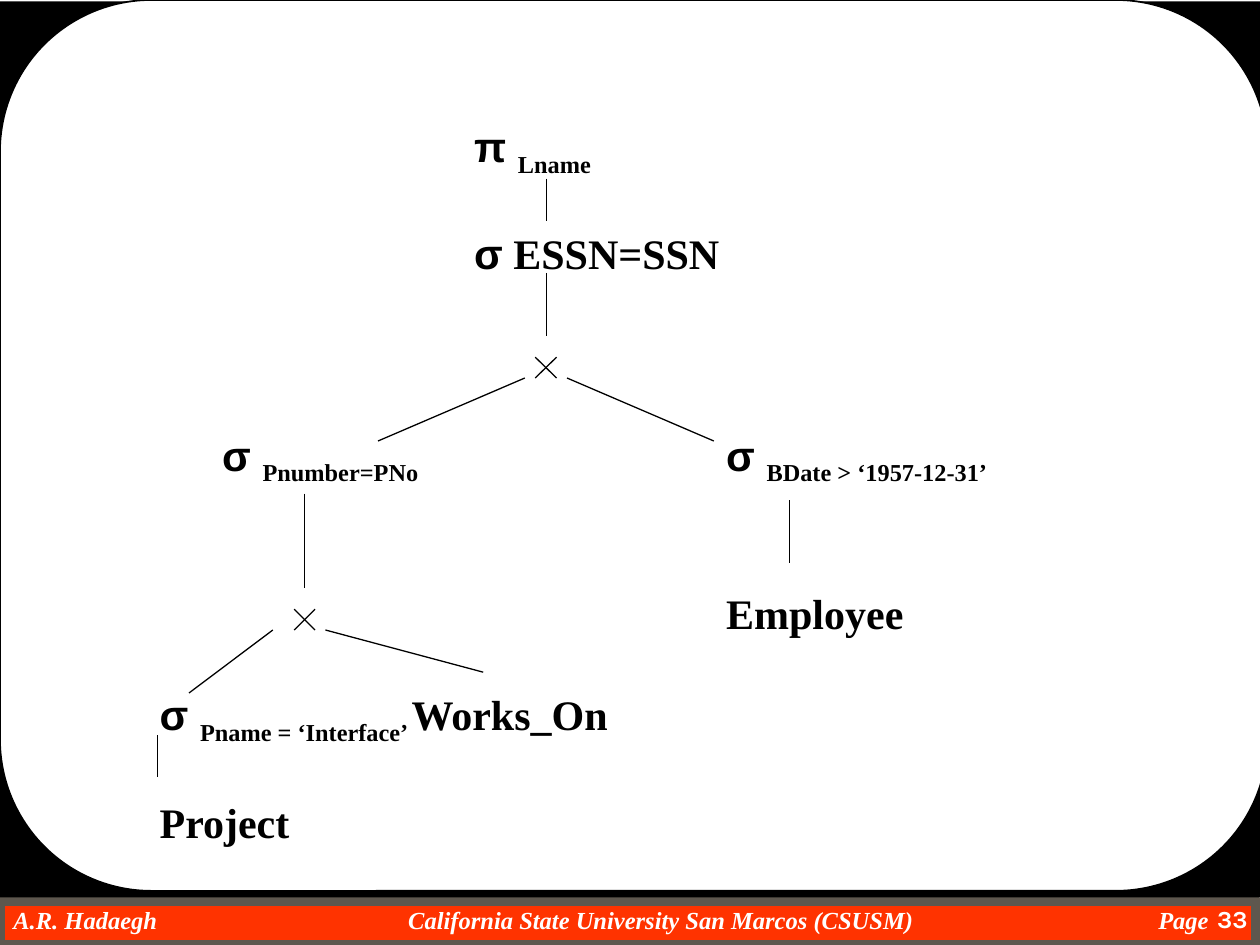
"""Build the relational query tree slide."""
from pptx import Presentation
from pptx import util as u
from pptx.dml.color import RGBColor
from pptx.enum import shapes, text
from pptx.oxml import ns
from lxml import etree

HUES = {"ink": "000000", "paper": "FFFFFF", "bar": "FF3300", "edge": "5E574E"}
SERIF, SANS = "Times New Roman", "Arial"
STEP = 2.54 / 12

# left, top, width in cm; symbol, plain text, subscript
NODES = [
    (9.56, 2.43, 3, "π ", "", "Lname"),
    (9.56, 4.58, 5.5, "σ", " ESSN=SSN", ""),
    (4.48, 8.65, 4.6, "σ ", "", "Pnumber=PNo"),
    (14.64, 8.65, 6, "σ ", "", "BDate > ‘1957-12-31’"),
    (14.64, 11.84, 4.2, "", "Employee", ""),
    (3.22, 13.88, 5.6, "σ ", "", "Pname = ‘Interface’"),
    (8.3, 13.88, 4.6, "", "Works_On", ""),
    (3.22, 16.06, 3.2, "", "Project", ""),
]
# x1, y1, x2, y2 in grid steps
EDGES = [
    (52, 26, 52, 32), (52, 17, 52, 21), (50, 36, 36, 42), (54, 36, 68, 42),
    (29, 47, 29, 56), (75.15, 47.6, 75.15, 53.6), (26, 60, 18, 66),
    (31, 60, 46, 64), (15, 70, 15, 74),
]
CROSSES = [(52, 35), (29, 59)]
# left, top, width in cm; text, format
FOOT = [
    (0.27, 18.24, 3.4, "A.R. Hadaegh", {}),
    (8.23, 18.24, 10.8, "California State University San Marcos (CSUSM)", {}),
    (23.35, 18.24, 1.2, "Page", {}),
    (24.35, 18.22, 0.8, "33", dict(font="Karla", slant=False, side="RIGHT")),
]
# left, top, width, height in cm; preset, fill, line, line width
PANELS = [
    (0, 18.16, 25.32, 0.89, "RECTANGLE", "bar", "edge", 6),
    (0, 0.03, 25.4, 18.06, "RECTANGLE", "ink", None, 0),
    (0, 0, 25.55, 17.96, "ROUNDED_RECTANGLE", "paper", "ink", 1),
]

deck = Presentation()
deck.slide_width, deck.slide_height = u.Cm(25.4), u.Cm(19.05)
page = deck.slides.add_slide(deck.slide_layouts[6])


def hue(name):
    return RGBColor.from_string(HUES[name])


def panel(x, y, w, h, kind, fill, line, width):
    box = page.shapes.add_shape(shapes.MSO_SHAPE[kind], *map(u.Cm, (x, y, w, h)))
    box.shadow.inherit = False
    box.fill.solid()
    box.fill.fore_color.rgb = hue(fill)
    if line:
        box.line.color.rgb = hue(line)
        box.line.width = u.Pt(width)
    else:
        box.line.fill.background()
    if len(box.adjustments):
        box.adjustments[0] = 0.17


def edge(*ends):
    line = page.shapes.add_connector(shapes.MSO_CONNECTOR.STRAIGHT,
                                     *(u.Cm(round(end * STEP, 2)) for end in ends))
    line.line.color.rgb = hue("ink")
    line.line.width = u.Pt(0.75)
    etree.SubElement(line._element.spPr, ns.qn("a:effectLst"))


def label(x, y, w, words, size=24, color="ink", font=SERIF, bold=True,
          slant=False, symbol="", sub="", side="LEFT"):
    box = page.shapes.add_textbox(*map(u.Cm, (x, y, w, size * 0.04)))
    frame = box.text_frame
    frame.word_wrap = True
    frame.margin_left = frame.margin_right = 0
    frame.margin_top = frame.margin_bottom = 0
    para = frame.paragraphs[0]
    para.alignment = text.PP_ALIGN[side]
    for part, face, drop in ((symbol, SANS, 0), (words, font, 0), (sub, font, -25000)):
        if not part:
            continue
        run = para.add_run()
        run.text = part
        run.font.name, run.font.size = face, u.Pt(size)
        run.font.bold, run.font.italic = bold, slant
        run.font.color.rgb = hue(color)
        if drop:
            run.font._element.set("baseline", str(drop))


for item in PANELS:
    panel(*item)
for x, y, w, words, form in FOOT:
    label(x, y, w, words, **{"size": 14, "color": "paper", "slant": True, **form})
for x, y, w, symbol, words, sub in NODES:
    label(x, y, w, words, symbol=symbol, sub=sub)
for ends in EDGES:
    edge(*ends)
for x, y in CROSSES:
    edge(x + 1, y - 1, x - 1, y + 1)
    edge(x - 1, y - 1, x + 1, y + 1)

deck.save("out.pptx")
